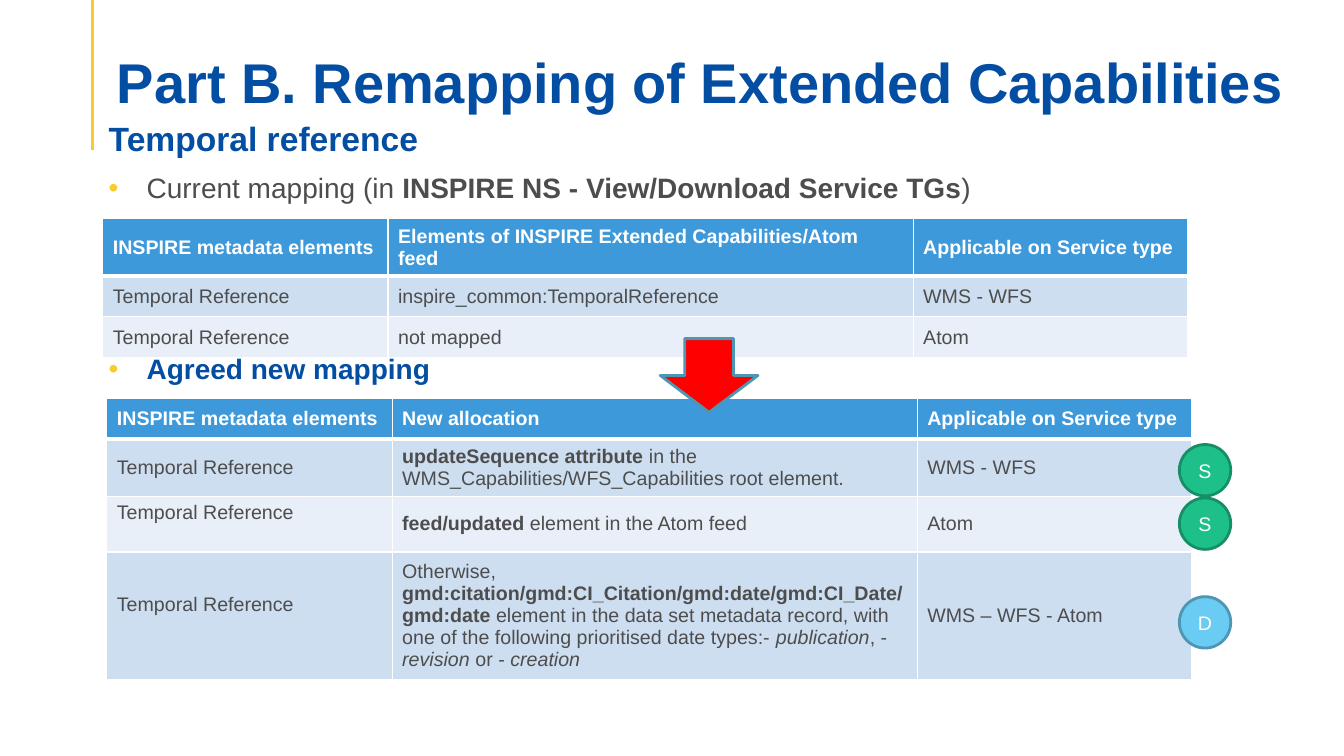
from lxml.etree import SubElement
from pptx import Presentation
from pptx.dml.color import RGBColor
from pptx.enum.shapes import MSO_CONNECTOR, MSO_SHAPE
from pptx.enum.text import MSO_ANCHOR as Anchor, PP_ALIGN as Align
from pptx.oxml.ns import qn
from pptx.util import Pt

THEME = dict(
    font="Arial", title_size=40, heading_size=24, bullet_size=20, small_size=14,
    blue="034EA2", yellow="F8CC29", grey="4D4D4D", white="FFFFFF",
    header="3E99DA", bands=("CEDEF1", "E8EFF8"),
    red="FF0000", steel="4E96B4", sky="6ACBF3", green="1EC08A", dark_green="168E66",
)
BOLD, ITALIC = {"bold": True}, {"italic": True}

TITLE = "Part B. Remapping of Extended Capabilities"
HEADING = "Temporal reference"
CURRENT = ["Current mapping (in ", ("INSPIRE NS - View/Download Service TGs", BOLD), ")"]
AGREED = [("Agreed new mapping", BOLD)]

COLUMNS = (203.8, 375.1, 195.8)
CURRENT_MAPPING = [
    ["INSPIRE metadata elements", "Elements of INSPIRE Extended Capabilities/Atom feed",
     "Applicable on Service type"],
    ["Temporal Reference", "inspire_common:TemporalReference", "WMS - WFS"],
    ["Temporal Reference", "not mapped", "Atom"],
]
NEW_MAPPING = [
    ["INSPIRE metadata elements", "New allocation", "Applicable on Service type"],
    ["Temporal Reference",
     [("updateSequence attribute", BOLD),
      " in the WMS_Capabilities/WFS_Capabilities root element."],
     "WMS - WFS"],
    ["Temporal Reference", [("feed/updated ", BOLD), "element in the Atom feed"], "Atom"],
    ["Temporal Reference",
     ["Otherwise, ",
      ("gmd:citation/gmd:CI_Citation/gmd:date/gmd:CI_Date/gmd:date ", BOLD),
      "element in the data set metadata record, with one of the following "
      "prioritised date types:- ",
      ("publication", ITALIC), ", - ", ("revision", ITALIC), " or - ",
      ("creation", ITALIC)],
     "WMS – WFS - Atom"],
]
# Each mapping: rows, left, top, row heights, rows whose first cell sits higher
MAPPINGS = [
    (CURRENT_MAPPING, 73.4, 156.2, (37.5, 29.3, 29.3), ()),
    (NEW_MAPPING, 76.3, 284.4, (29.3, 38, 38.5, 85.7), (2, 3)),
]
RAISED_MARGIN = 19.3

BADGE_LEFT, BADGE_SIZE = 842.4, 36.7
BADGES = [
    ("D", 426.2, "sky", "steel"),
    ("S", 317.5, "green", "dark_green"),
    ("S", 355.7, "green", "dark_green"),
]


def rgb(name):
    return RGBColor.from_string(THEME.get(name, name))


def write(paragraph, content, size, color, **base):
    """Fill a paragraph with text, or with a list of text and (text, format) parts."""
    for part in [content] if isinstance(content, str) else content:
        words, extra = (part, {}) if isinstance(part, str) else part
        run = paragraph.add_run()
        run.text = words
        look = {"name": THEME["font"], "size": Pt(THEME[size]),
                "bold": False, "italic": False, **base, **extra}
        for key, value in look.items():
            setattr(run.font, key, value)
        run.font.color.rgb = rgb(color)


def space(paragraph, before, after):
    paragraph.space_before, paragraph.space_after = Pt(before), Pt(after)


def add_bullet(paragraph):
    props = paragraph._p.get_or_add_pPr()
    props.set("marL", str(Pt(27)))
    props.set("indent", str(Pt(-27)))
    tint = SubElement(props, qn("a:buClr"))
    SubElement(tint, qn("a:srgbClr"), val=THEME["yellow"])
    SubElement(props, qn("a:buFont"), typeface=THEME["font"])
    SubElement(props, qn("a:buChar"), char="•")


def add_text_box(slide, *box):
    frame = slide.shapes.add_textbox(*map(Pt, box)).text_frame
    frame.word_wrap = True
    return frame


def set_borders(cell, row):
    """White cell borders, thicker below the header row."""
    widths = {"lnL": 1, "lnR": 1, "lnT": 3 if row == 1 else 1, "lnB": 3 if row == 0 else 1}
    props = cell._tc.get_or_add_tcPr()
    for edge, width in widths.items():
        border = SubElement(props, qn(f"a:{edge}"), w=str(Pt(width)))
        fill = SubElement(border, qn("a:solidFill"))
        SubElement(fill, qn("a:srgbClr"), val=THEME["white"])


def add_mapping(slide, rows, left, top, heights, raised):
    table = slide.shapes.add_table(
        len(rows), len(COLUMNS), Pt(left), Pt(top),
        Pt(sum(COLUMNS)), Pt(sum(heights))).table
    table.horz_banding = False
    for column, width in zip(table.columns, COLUMNS):
        column.width = Pt(width)
    for r, (row, height) in enumerate(zip(rows, heights)):
        table.rows[r].height = Pt(height)
        for c, content in enumerate(row):
            cell = table.cell(r, c)
            cell.vertical_anchor = Anchor.MIDDLE
            if c == 0 and r in raised:
                cell.margin_bottom = Pt(RAISED_MARGIN)
            set_borders(cell, r)
            cell.fill.solid()
            cell.fill.fore_color.rgb = rgb("header" if r == 0 else THEME["bands"][(r - 1) % 2])
            write(cell.text_frame.paragraphs[0], content, "small_size",
                  "white" if r == 0 else "grey", bold=r == 0)


def add_filled(slide, preset, box, fill, line):
    shape = slide.shapes.add_shape(preset, *map(Pt, box))
    shape.shadow.inherit = False
    shape.fill.solid()
    shape.fill.fore_color.rgb = rgb(fill)
    shape.line.color.rgb = rgb(line)
    shape.line.width = Pt(2)
    return shape


def add_title(slide):
    title = slide.shapes.title
    box = {"left": 76.3, "top": 28.1, "width": 853.9, "height": 61.9}
    for key, value in box.items():
        setattr(title, key, Pt(value))
    frame = title.text_frame
    frame.word_wrap = True
    frame.vertical_anchor = Anchor.MIDDLE
    frame.margin_bottom = 0
    heading = frame.paragraphs[0]
    heading.alignment = Align.LEFT
    heading.line_spacing = 0.9
    write(heading, TITLE, "title_size", "blue", bold=True)


def main():
    deck = Presentation()
    deck.slide_width, deck.slide_height = Pt(960), Pt(540)
    slide = deck.slides.add_slide(deck.slide_layouts[5])

    rule = slide.shapes.add_connector(MSO_CONNECTOR.STRAIGHT, Pt(66.2), 0, Pt(66.2), Pt(107.3))
    rule.line.color.rgb = rgb("yellow")
    rule.line.width = Pt(2.25)
    SubElement(rule._element.spPr, qn("a:effectLst"))
    add_title(slide)

    intro = add_text_box(slide, 70.6, 80.6, 853.9, 82.8)
    heading, current = intro.paragraphs[0], intro.add_paragraph()
    space(heading, 0, 6)
    write(heading, HEADING, "heading_size", "blue", bold=True)
    space(current, 3, 3)
    add_bullet(current)
    write(current, CURRENT, "bullet_size", "grey")

    agreed = add_text_box(slide, 70.6, 247.7, 853.9, 41).paragraphs[0]
    space(agreed, 0, 3)
    add_bullet(agreed)
    write(agreed, AGREED, "bullet_size", "blue")

    for mapping in MAPPINGS:
        add_mapping(slide, *mapping)

    arrow = add_filled(slide, MSO_SHAPE.RIGHT_ARROW, (480.2, 233.3, 52.6, 69.8), "red", "steel")
    arrow.rotation = 90

    for letter, top, fill, line in BADGES:
        badge = add_filled(slide, MSO_SHAPE.OVAL, (BADGE_LEFT, top, BADGE_SIZE, BADGE_SIZE),
                           fill, line)
        frame = badge.text_frame
        frame.margin_left = frame.margin_right = 0
        frame.vertical_anchor = Anchor.MIDDLE
        frame.paragraphs[0].alignment = Align.CENTER
        write(frame.paragraphs[0], letter, "small_size", "white")

    deck.save("out.pptx")


if __name__ == "__main__":
    main()
